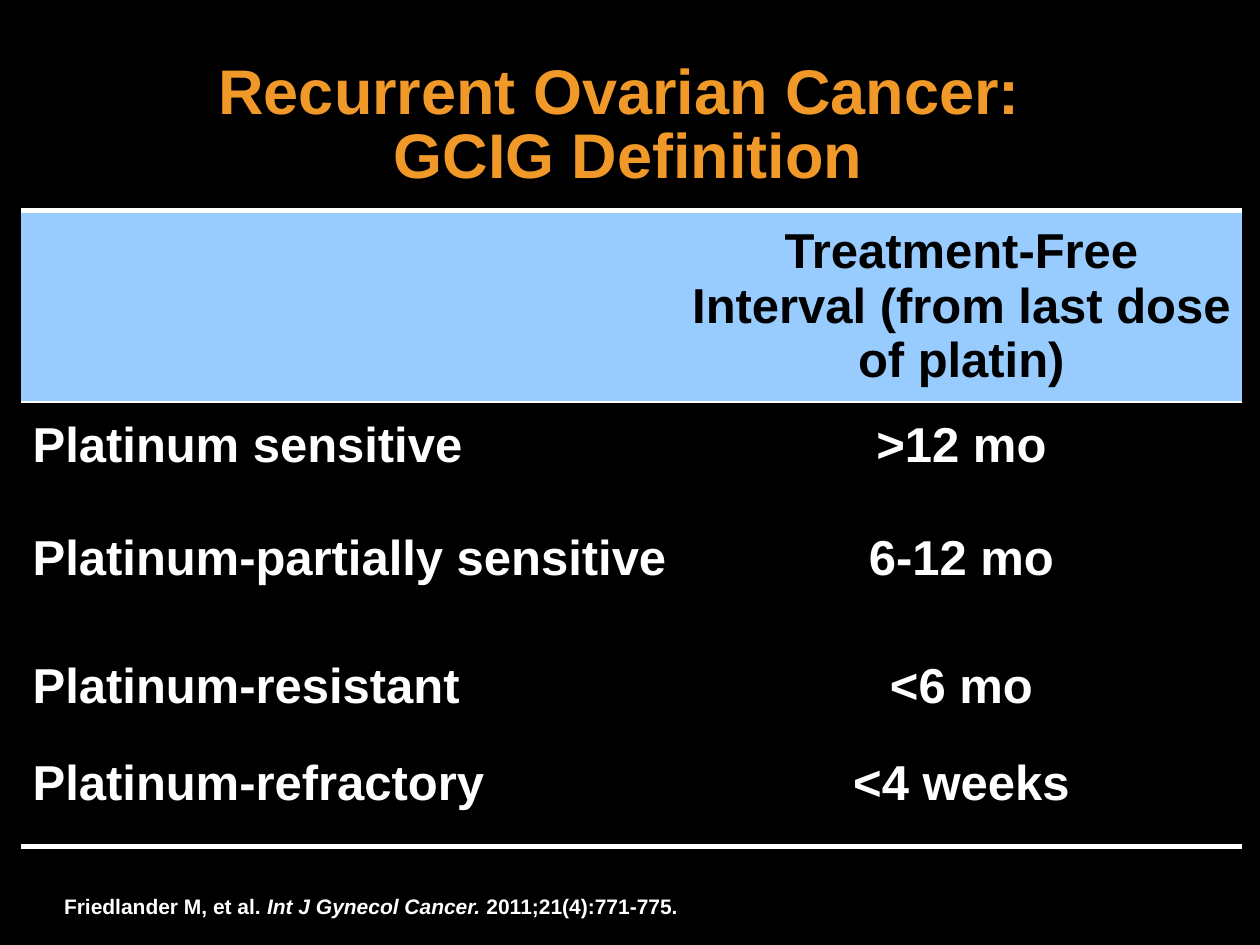
from lxml import etree
from pptx import Presentation
from pptx.dml.color import RGBColor
from pptx.enum.text import MSO_ANCHOR, PP_ALIGN
from pptx.oxml.ns import qn
from pptx.util import Inches, Pt

LEFT, CENTER = PP_ALIGN.LEFT, PP_ALIGN.CENTER
TOP, MIDDLE = MSO_ANCHOR.TOP, MSO_ANCHOR.MIDDLE
COLORS = {"black": "000000", "white": "FFFFFF", "blue": "98CCFF", "gold": "F09828"}


def add_run(para, text, size, color, italic=False):
    run = para.add_run()
    run.text = text
    font = run.font
    font.name, font.size = "Arial", Pt(size)
    font.bold, font.italic = True, italic
    font.color.rgb = RGBColor.from_string(COLORS[color])


def add_edge(cell, side, width):
    props = cell._tc.get_or_add_tcPr()
    line = etree.SubElement(props, qn("a:ln" + side), w=str(Pt(width)))
    if width:
        fill = etree.SubElement(line, qn("a:solidFill"))
        etree.SubElement(fill, qn("a:srgbClr"), val=COLORS["white"])
    else:
        etree.SubElement(line, qn("a:noFill"))


prs = Presentation()
prs.slide_width, prs.slide_height = Inches(10), Inches(7.5)
slide = prs.slides.add_slide(prs.slide_layouts[6])
back = slide.background.fill
back.solid()
back.fore_color.rgb = RGBColor.from_string(COLORS["black"])

rows = [
    ("", "Treatment-Free Interval (from last dose of platin)"),
    ("Platinum sensitive", ">12 mo"),
    ("Platinum-partially sensitive", "6-12 mo"),
    ("Platinum-resistant", "<6 mo"),
    ("Platinum-refractory", "<4 weeks"),
]
widths = [5.23, 4.46]
heights = [1.52, 0.9, 1.1, 0.77, 0.76]
insets = [0.04, 0.13, 0.13, 0.04, 0.04]
rules = [3, 1, 0, 0, 0, 3]

table = slide.shapes.add_table(
    len(rows), len(widths), Inches(0.17), Inches(1.67), Inches(9.69), Inches(5.05)
).table
table.first_row = table.horz_banding = False
for col, width in zip(table.columns, widths):
    col.width = Inches(width)

for r, texts in enumerate(rows):
    table.rows[r].height = Inches(heights[r])
    for c, text in enumerate(texts):
        cell = table.cell(r, c)
        for side, width in zip("LRTB", (0, 0, rules[r], rules[r + 1])):
            add_edge(cell, side, width)
        if r == 0:
            cell.fill.solid()
            cell.fill.fore_color.rgb = RGBColor.from_string(COLORS["blue"])
        else:
            cell.fill.background()
        cell.margin_left = cell.margin_right = Inches(0.09)
        cell.margin_top, cell.margin_bottom = Inches(insets[r]), Inches(0.04)
        cell.vertical_anchor = TOP if r else MIDDLE
        para = cell.text_frame.paragraphs[0]
        para.alignment = CENTER if c else LEFT
        if text:
            add_run(para, text, 28, "white" if r else "black")

title = slide.shapes.add_textbox(Inches(0.36), Inches(0.45), Inches(9.25), Inches(1.13))
title.text_frame.word_wrap = True
para = title.text_frame.paragraphs[0]
para.alignment, para.line_spacing = CENTER, 0.85
add_run(para, "Recurrent Ovarian Cancer: ", 36, "gold")
para.add_line_break()
add_run(para, "GCIG Definition", 36, "gold")

source = slide.shapes.add_textbox(Inches(0.41), Inches(7.04), Inches(5.09), Inches(0.5))
source.text_frame.word_wrap = False
para = source.text_frame.paragraphs[0]
add_run(para, "Friedlander M, et al. ", 12, "white")
add_run(para, "Int J Gynecol Cancer.", 12, "white", italic=True)
add_run(para, " 2011;21(4):771-775.", 12, "white")

prs.save("out.pptx")
